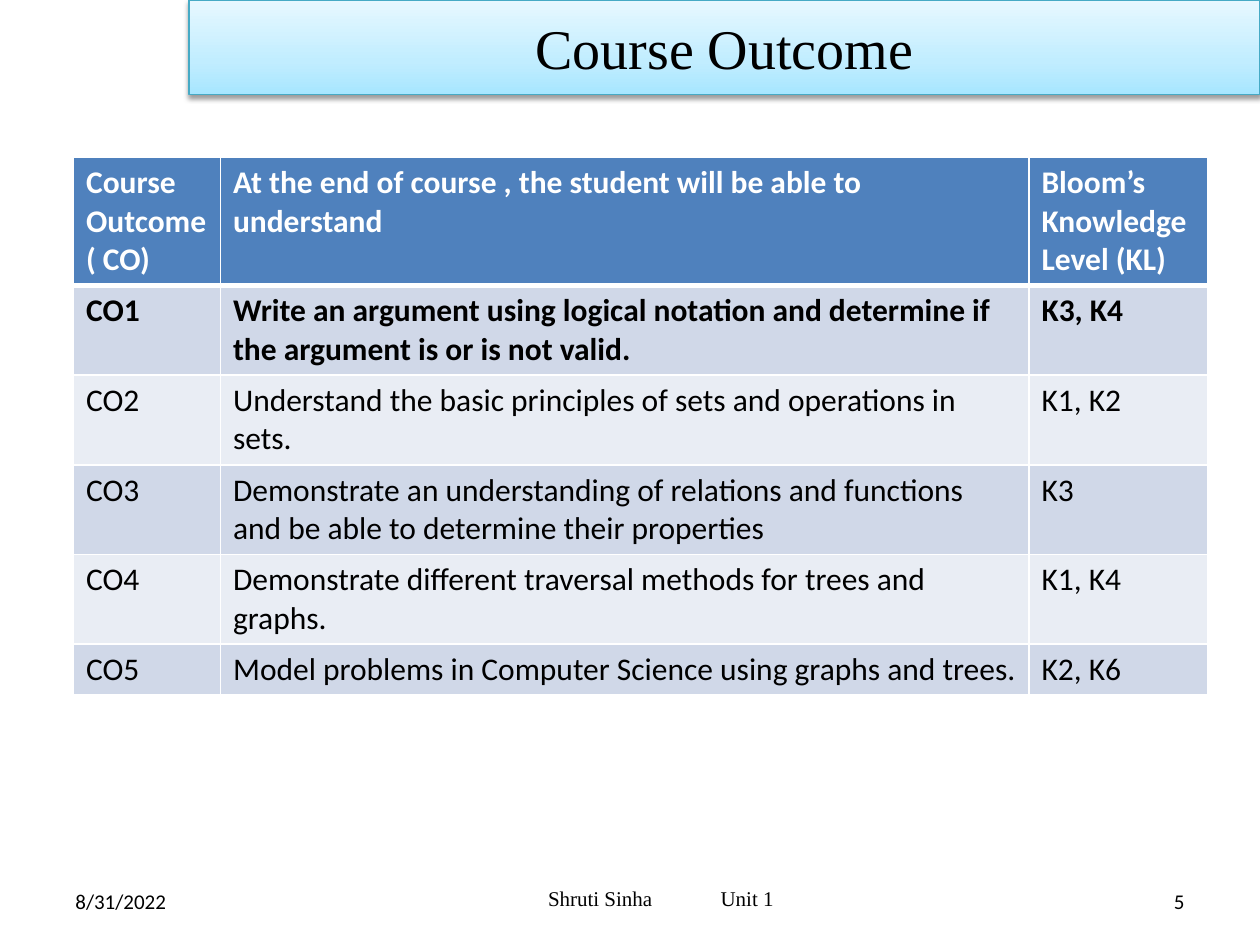
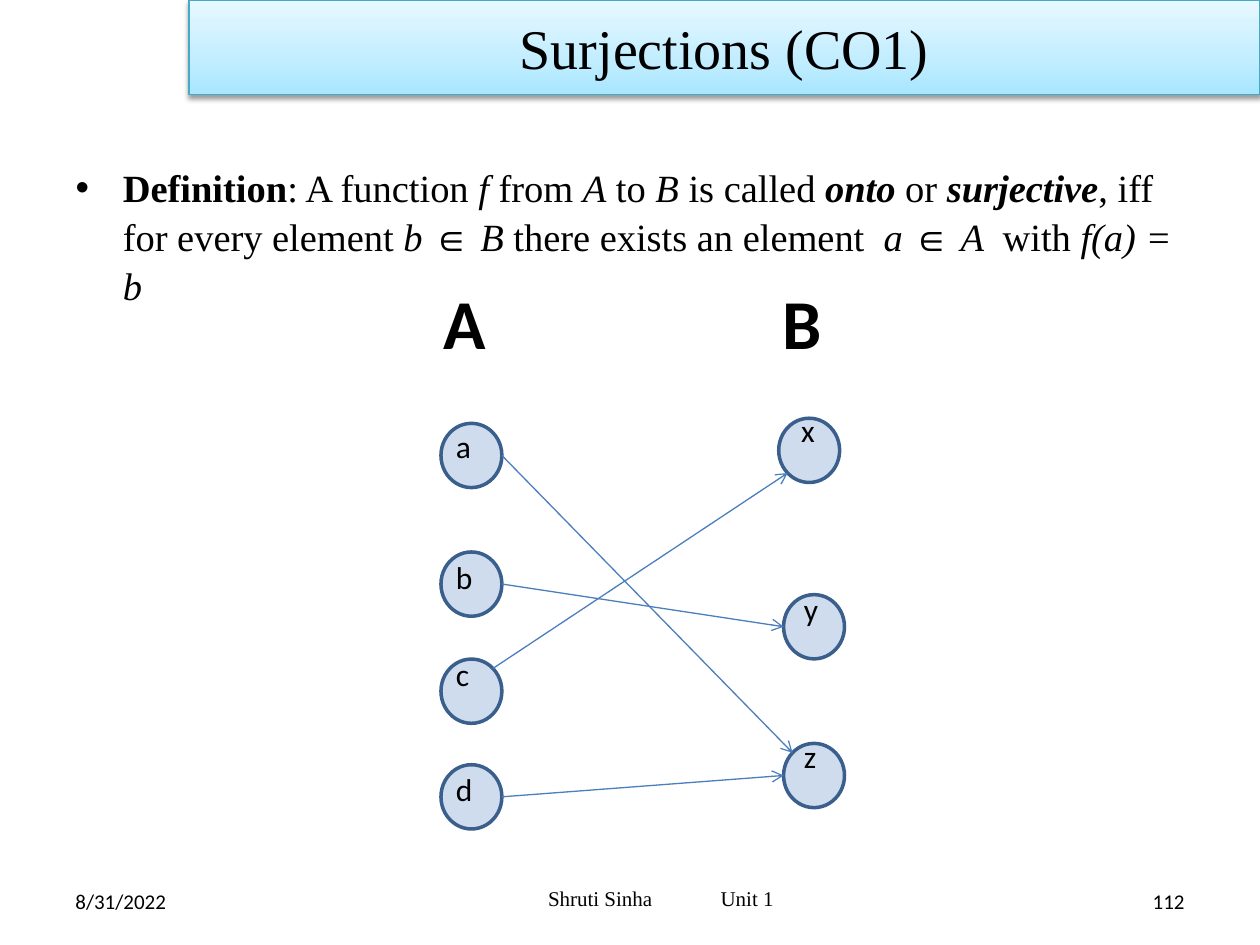
import math
from dataclasses import dataclass

import lxml.etree
import pptx
import pptx.dml.color
import pptx.enum.shapes
import pptx.enum.text
import pptx.oxml.ns
import pptx.util

Pt = pptx.util.Pt
RGB = pptx.dml.color.RGBColor.from_string
qn = pptx.oxml.ns.qn
PP_ALIGN = pptx.enum.text.PP_ALIGN
ANCHOR = pptx.enum.text.MSO_ANCHOR
SubElement = lxml.etree.SubElement


@dataclass(frozen=True)
class Theme:
    text: str = "000000"
    white: str = "FFFFFF"
    accent: str = "4F81BD"
    row_dark: str = "D0D8E8"
    row_light: str = "E9EDF4"
    band_line: str = "46AAC5"
    band_stops: tuple = ((0, "A7E6FF"), (35, "C1EDFF"), (100, "E7F8FF"))
    circle_line: str = "3A5F8C"
    arrow: str = "4B7EBC"
    serif: str = "Times New Roman"
    sans: str = "Calibri"
    title_size: int = 32
    set_size: int = 40
    body_size: int = 22
    table_size: int = 18
    footer_size: int = 12


theme = Theme()


def write(paragraph, text, size=theme.table_size, font=theme.sans, color=theme.text,
          bold=False, italic=False, align=None):
    """Append one formatted run to a paragraph."""
    if align is not None:
        paragraph.alignment = align
    run = paragraph.add_run()
    run.text = text
    run.font.size = Pt(size)
    run.font.name = font
    run.font.bold = bold
    run.font.italic = italic
    run.font.color.rgb = RGB(color)


def add_box(slide, left, top, width, height, anchor=ANCHOR.TOP):
    """Add a wrapping text box and return its text frame."""
    frame = slide.shapes.add_textbox(Pt(left), Pt(top), Pt(width), Pt(height)).text_frame
    frame.word_wrap = True
    frame.vertical_anchor = anchor
    return frame


presentation = pptx.Presentation()
presentation.slide_width, presentation.slide_height = Pt(720), Pt(540)

# Shared title band and footer
slides = []
for title_text, number, layout_index in (("Course Outcome", "5", 5), ("Surjections (CO1)", "112", 1)):
    slide = presentation.slides.add_slide(presentation.slide_layouts[layout_index])
    slides.append(slide)

    title = slide.shapes.title
    title.left, title.top, title.width, title.height = Pt(108), Pt(0), Pt(612), Pt(54)
    title.fill.gradient()
    title.fill.gradient_angle = 90
    properties = title.fill._xPr
    stop_list = properties.find(".//" + qn("a:gsLst"))
    for stop in list(stop_list):
        stop_list.remove(stop)
    for position, color in theme.band_stops:
        stop = SubElement(stop_list, qn("a:gs"), pos=str(position * 1000))
        SubElement(stop, qn("a:srgbClr"), val=color)
    title.line.color.rgb = RGB(theme.band_line)
    title.line.width = Pt(0.75)
    effects = SubElement(properties, qn("a:effectLst"))
    shadow = SubElement(effects, qn("a:outerShdw"), blurRad=str(Pt(3.1)), dist=str(Pt(1.6)),
                        dir="5400000", rotWithShape="0")
    shadow_color = SubElement(shadow, qn("a:srgbClr"), val=theme.text)
    SubElement(shadow_color, qn("a:alpha"), val="38000")
    title.text_frame.auto_size = pptx.enum.text.MSO_AUTO_SIZE.NONE
    title.text_frame.vertical_anchor = ANCHOR.MIDDLE
    write(title.text_frame.paragraphs[0], title_text, size=theme.title_size, font=theme.serif,
          align=PP_ALIGN.CENTER)

    for left, text, align in ((36, "8/31/2022", PP_ALIGN.LEFT), (516, number, PP_ALIGN.RIGHT)):
        frame = add_box(slide, left, 500.5, 168, 28.8, ANCHOR.MIDDLE)
        write(frame.paragraphs[0], text, size=theme.footer_size, align=align)
    frame = add_box(slide, 180, 499, 396, 28.8, ANCHOR.MIDDLE)
    frame.margin_left = Pt(133.2)
    paragraph = frame.paragraphs[0]
    tabs = SubElement(paragraph._p.get_or_add_pPr(), qn("a:tabLst"))
    SubElement(tabs, qn("a:tab"), pos=str(Pt(98.6)), algn="l")
    write(paragraph, "Shruti Sinha\tUnit 1", size=theme.footer_size, font=theme.serif)

outcome_slide, surjection_slide = slides

# Course outcome table: number of text lines, then the cells
outcome_rows = (
    (3, "Course Outcome ( CO)", "At the end of course , the student will be able to understand",
     "Bloom’s Knowledge Level (KL)"),
    (2, "CO1", "Write an argument using logical notation and determine if the argument is or is not valid.",
     "K3, K4"),
    (2, "CO2", "Understand the basic principles of sets and operations in sets.", "K1, K2"),
    (2, "CO3", "Demonstrate an understanding of relations and functions and be able to determine "
     "their properties", "K3"),
    (2, "CO4", "Demonstrate different traversal methods for trees and graphs.", "K1, K4"),
    (1, "CO5", "Model problems in Computer Science using graphs and trees.", "K2, K6"),
)
table = outcome_slide.shapes.add_table(len(outcome_rows), 3, Pt(42), Pt(90), Pt(648), Pt(307.2)).table
for column, width in zip(table.columns, (84, 462, 102)):
    column.width = Pt(width)
for row_index, (line_count, *texts) in enumerate(outcome_rows):
    table.rows[row_index].height = Pt(7.2 + 22 * line_count)
    is_header = row_index == 0
    row_fill = theme.accent if is_header else theme.row_dark if row_index % 2 else theme.row_light
    borders = {"a:lnL": 1, "a:lnR": 1, "a:lnT": 3 if row_index == 1 else 1, "a:lnB": 3 if is_header else 1}
    for column_index, text in enumerate(texts):
        cell = table.cell(row_index, column_index)
        cell_properties = cell._tc.get_or_add_tcPr()
        for side, width in borders.items():
            border = SubElement(cell_properties, qn(side), w=str(Pt(width)))
            border_fill = SubElement(border, qn("a:solidFill"))
            SubElement(border_fill, qn("a:srgbClr"), val=theme.white)
        cell.fill.solid()
        cell.fill.fore_color.rgb = RGB(row_fill)
        write(cell.text_frame.paragraphs[0], text, bold=row_index < 2,
              color=theme.white if is_header else theme.text)

# Definition of a surjection: text with its style (b bold, i italic)
definition = (
    ("Definition", "b"), (": A function ", ""), ("f", "i"), (" from ", ""), ("A", "i"), (" to ", ""),
    ("B", "i"), (" is called ", ""), ("onto", "bi"), (" or ", ""), ("surjective", "bi"),
    (", iff for every element ", ""), ("b ", "i"), ("∈", ""), (" B", "i"),
    (" there exists an element  ", ""), ("a ", "i"), ("∈ ", ""), ("A ", "i"), (" with ", ""),
    ("f(a) = b", "i"),
)
body = surjection_slide.placeholders[1]
body.left, body.top, body.width, body.height = Pt(36), Pt(88.5), Pt(648), Pt(378)
body.text_frame.auto_size = pptx.enum.text.MSO_AUTO_SIZE.NONE
body.text_frame.margin_right = Pt(14)
paragraph = body.text_frame.paragraphs[0]
paragraph.space_before = Pt(0)
paragraph.line_spacing = 1.06
for text, style in definition:
    write(paragraph, text, size=theme.body_size, font=theme.serif, bold="b" in style, italic="i" in style)

# Set names
for name, left in (("A", 246.2), ("B", 440)):
    write(add_box(surjection_slide, left, 156.2, 52, 57).paragraphs[0], name, size=theme.set_size, bold=True)

# Elements: circle left and top, then label left and top
circle_width, circle_height = 34.8, 36.7
elements = {
    "a": (252, 241.9, 253.4, 240.5),
    "b": (252, 315.4, 253.4, 315.4),
    "c": (252, 376.6, 253.4, 370.8),
    "d": (252, 437, 253.4, 436.3),
    "x": (445, 239, 450.7, 231.1),
    "y": (447.8, 339.8, 452.2, 333.4),
    "z": (447.8, 424.8, 452.2, 417.6),
}
for name, (left, top, label_left, label_top) in elements.items():
    circle = surjection_slide.shapes.add_shape(
        pptx.enum.shapes.MSO_SHAPE.FLOWCHART_CONNECTOR, Pt(left), Pt(top), Pt(circle_width), Pt(circle_height))
    circle.shadow.inherit = False
    circle.fill.solid()
    circle.fill.fore_color.rgb = RGB(theme.accent)
    fill_color = circle.fill._xPr.find(qn("a:solidFill")).find(qn("a:srgbClr"))
    SubElement(fill_color, qn("a:alpha"), val="27000")
    circle.line.color.rgb = RGB(theme.circle_line)
    circle.line.width = Pt(2)
    write(add_box(surjection_slide, label_left, label_top, 23, 29.5).paragraphs[0], name)

# Mapping arrows: each end is an element and the angle on its circle, clockwise from the right
mapping = (("b", 0, "y", 180), ("a", 0, "z", 225), ("c", -45, "x", 135), ("d", 0, "z", 180))
for source, source_angle, target, target_angle in mapping:
    ends = []
    for name, angle in ((source, source_angle), (target, target_angle)):
        left, top = elements[name][:2]
        ends.append(Pt(left + circle_width / 2 * (1 + math.cos(math.radians(angle)))))
        ends.append(Pt(top + circle_height / 2 * (1 + math.sin(math.radians(angle)))))
    arrow = surjection_slide.shapes.add_connector(pptx.enum.shapes.MSO_CONNECTOR.STRAIGHT, *ends)
    arrow.line.color.rgb = RGB(theme.arrow)
    arrow.line.width = Pt(0.75)
    SubElement(arrow.line._get_or_add_ln(), qn("a:tailEnd"), type="arrow")
    SubElement(arrow._element.spPr, qn("a:effectLst"))

presentation.save("out.pptx")
